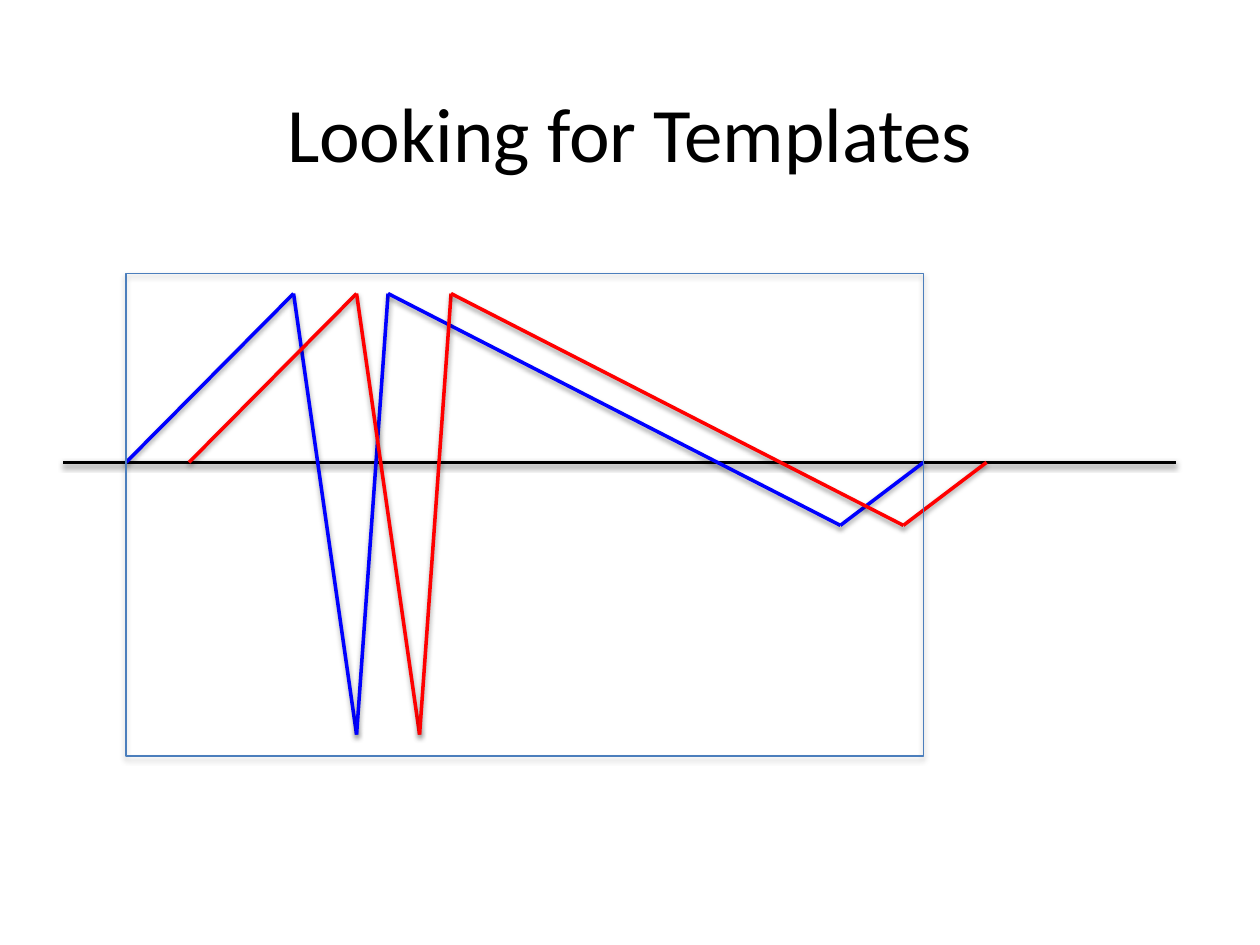
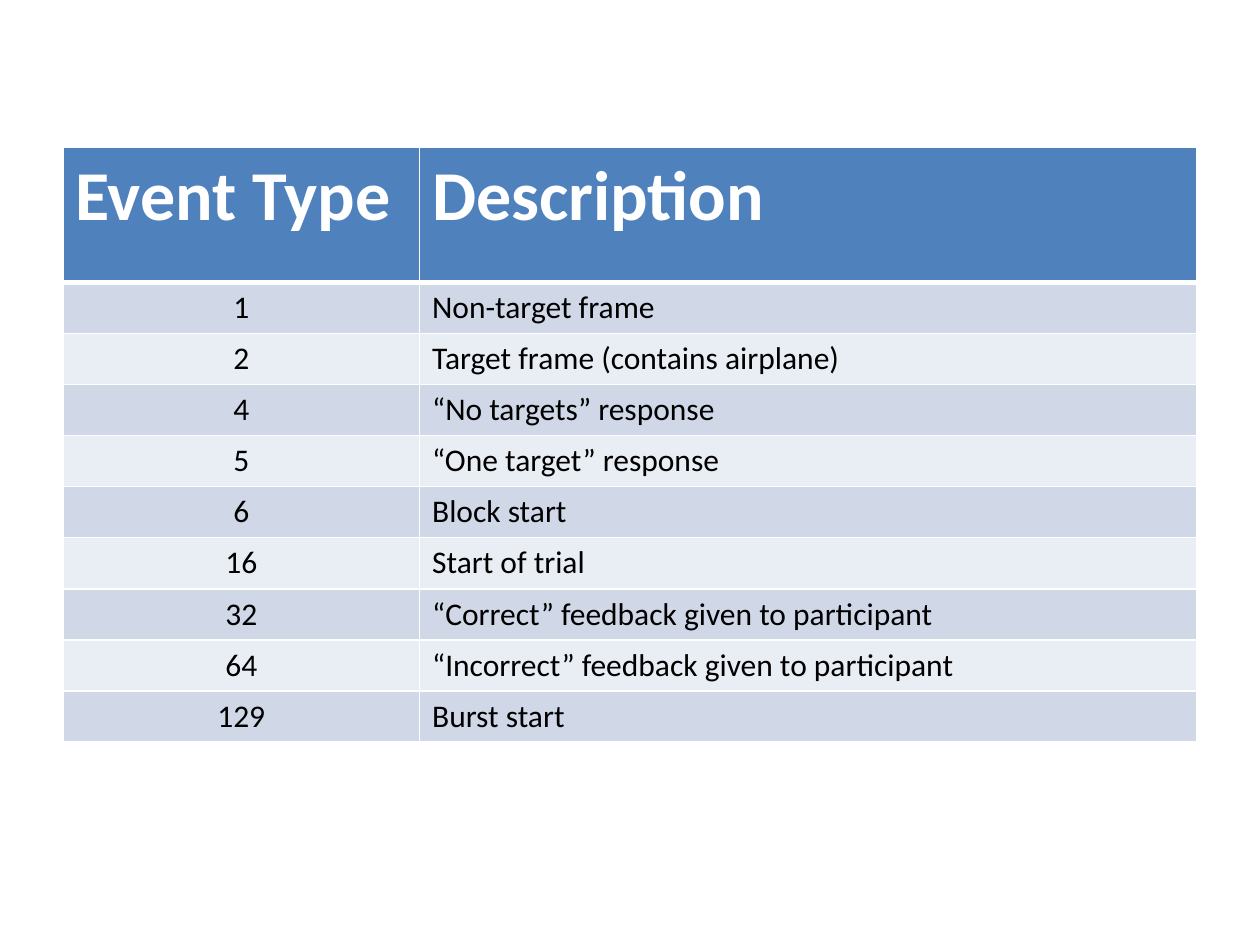
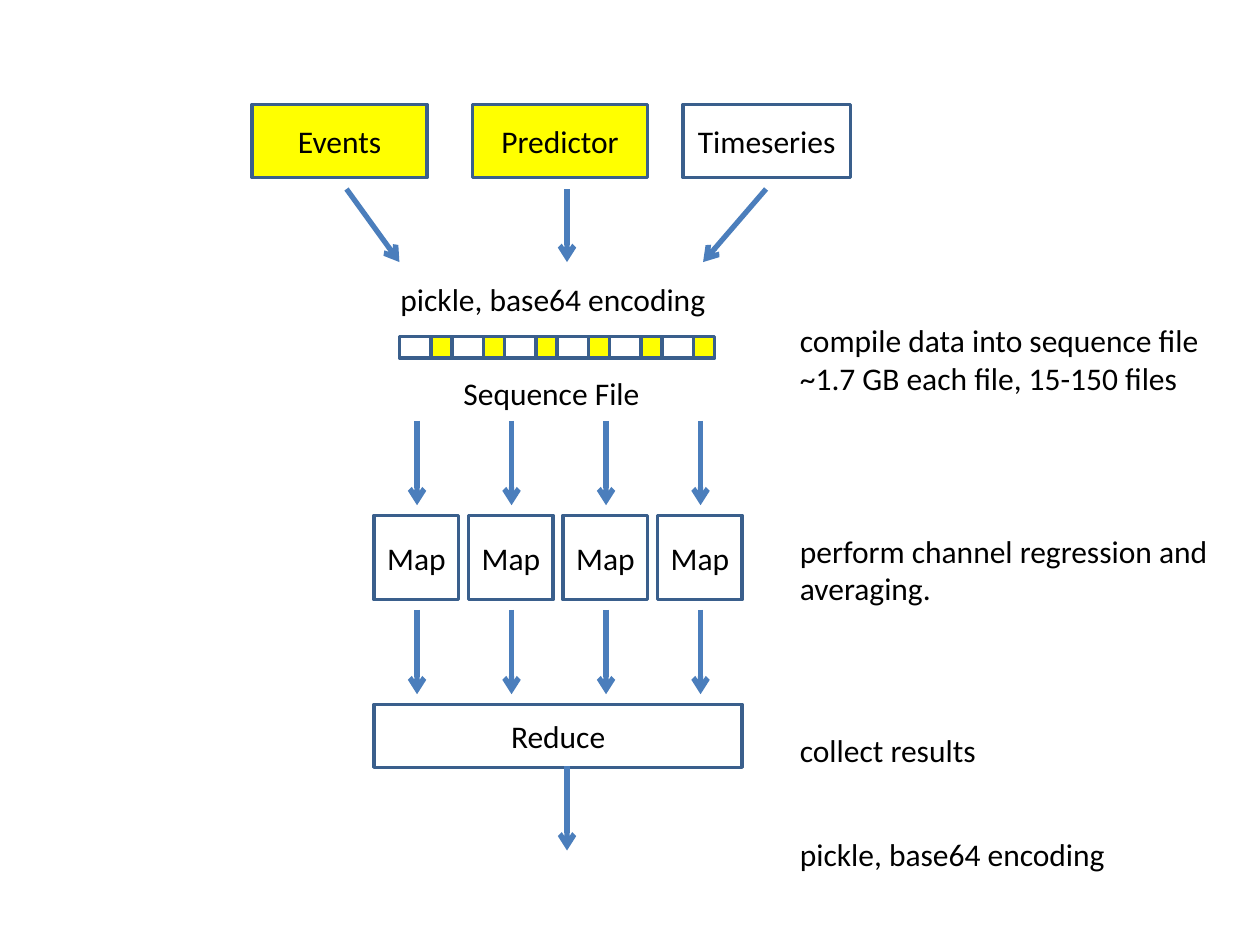
"""Builds three slides on template matching, event types and a map-reduce pipeline."""
from itertools import pairwise

from pptx import Presentation
from pptx import util as u
from pptx.dml.color import RGBColor
from pptx.enum import shapes, text
from pptx.oxml.xmlchemy import OxmlElement

FONT = "Calibri"
BLACK = RGBColor(0x00, 0x00, 0x00)
WHITE = RGBColor(0xFF, 0xFF, 0xFF)
BLUE = RGBColor(0x00, 0x00, 0xFF)
RED = RGBColor(0xFF, 0x00, 0x00)
YELLOW = RGBColor(0xFF, 0xFF, 0x00)
ACCENT = RGBColor(0x4F, 0x81, 0xBD)
ACCENT_LINE = RGBColor(0x4B, 0x7E, 0xBC)
BOX_LINE = RGBColor(0x3A, 0x5F, 0x8C)
BANDS = (RGBColor(0xD0, 0xD8, 0xE8), RGBColor(0xE9, 0xED, 0xF4))

WAVE = [(1, 3.67), (2.33, 2.33), (2.83, 5.83), (3.08, 2.33), (6.67, 4.17), (7.33, 3.67)]
EVENTS = [
    ("Event Type", "Description"),
    ("1", "Non-target frame"),
    ("2", "Target frame (contains airplane)"),
    ("4", "“No targets” response"),
    ("5", "“One target” response"),
    ("6", "Block start"),
    ("16", "Start of trial"),
    ("32", "“Correct” feedback given to participant"),
    ("64", "“Incorrect” feedback given to participant"),
    ("129", "Burst start"),
]
ENCODING = "pickle, base64 encoding"
STEPS = [
    (4.17, 3.58, 0.71, "perform channel regression and\naveraging."),
    (2.5, 3.41, 0.71, "compile data into sequence file\n~1.7 GB each file, 15-150 files"),
    (5.75, 1.73, 0.4, "collect results"),
    (6.58, 2.65, 0.4, ENCODING),
]


def xml(parent, tag, **attributes):
    """Append an element with the given attributes and return it."""
    child = OxmlElement(tag)
    for name, value in attributes.items():
        child.set(name, str(value))
    parent.append(child)
    return child


class Deck:
    """Holds the shared style and the current slide."""

    def __init__(self):
        self.prs = Presentation()
        self.prs.slide_width, self.prs.slide_height = u.Inches(10), u.Inches(7.5)
        self.slide = None

    def new_slide(self):
        """Start a blank slide."""
        self.slide = self.prs.slides.add_slide(self.prs.slide_layouts[6])

    def put_words(self, frame, words, size=18, color=BLACK, align=text.PP_ALIGN.LEFT, bold=False):
        """Put styled words into a text frame."""
        frame.text = words
        for paragraph in frame.paragraphs:
            paragraph.alignment = align
            font = paragraph.font
            font.name, font.size, font.bold = FONT, u.Pt(size), bold
            font.color.rgb = color

    def effects(self, shape, shadow_alpha=None, distance=1.6):
        """Replace the theme shadow by a soft one below, or by none."""
        effects = xml(shape._element.spPr, "a:effectLst")
        if shadow_alpha:
            shadow = xml(effects, "a:outerShdw", blurRad=u.Pt(3.1), dist=u.Pt(distance),
                         dir=90 * 60000, rotWithShape=0)
            tint = xml(shadow, "a:srgbClr", val=BLACK)
            xml(tint, "a:alpha", val=shadow_alpha * 1000)

    def label(self, left, top, width, height, words, wrap=False):
        """Add a text box that grows with its text."""
        frame = self.slide.shapes.add_textbox(*map(u.Inches, (left, top, width, height))).text_frame
        frame.word_wrap = wrap
        frame.auto_size = text.MSO_AUTO_SIZE.SHAPE_TO_FIT_TEXT
        self.put_words(frame, words)

    def title(self, words):
        """Add the centred slide title."""
        frame = self.slide.shapes.add_textbox(*map(u.Inches, (0.5, 0.42, 9, 1.25))).text_frame
        frame.word_wrap = True
        frame.vertical_anchor = text.MSO_ANCHOR.MIDDLE
        self.put_words(frame, words, 44, align=text.PP_ALIGN.CENTER)

    def box(self, left, top, width, height, words="", fill=WHITE):
        """Add an outlined box with centred words."""
        box = self.outline(left, top, width, height, BOX_LINE, 2)
        box.fill.solid()
        box.fill.fore_color.rgb = fill
        self.effects(box)
        if words:
            box.text_frame.vertical_anchor = text.MSO_ANCHOR.MIDDLE
            self.put_words(box.text_frame, words, align=text.PP_ALIGN.CENTER)

    def outline(self, left, top, width, height, color, weight):
        """Add a rectangle without a fill and return it."""
        frame = self.slide.shapes.add_shape(
            shapes.MSO_SHAPE.RECTANGLE, *map(u.Inches, (left, top, width, height)))
        frame.fill.background()
        frame.line.color.rgb = color
        frame.line.width = u.Pt(weight)
        return frame

    def line(self, start, end, color, weight=2, shadow_alpha=38):
        """Add a straight line and return it."""
        line = self.slide.shapes.add_connector(
            shapes.MSO_CONNECTOR.STRAIGHT, *map(u.Inches, (*start, *end)))
        line.line.color.rgb = color
        line.line.width = u.Pt(weight)
        self.effects(line, shadow_alpha)
        return line

    def arrow(self, start, end):
        """Add a line with an open arrowhead at its end."""
        arrow = self.line(start, end, ACCENT_LINE, 3, None)
        xml(arrow.line._get_or_add_ln(), "a:tailEnd", type="arrow")

    def cell(self, cell, words, fill, top_weight=1, bottom_weight=1, **style):
        """Fill and border one table cell and set its words."""
        weights = {"L": 1, "R": 1, "T": top_weight, "B": bottom_weight}
        for side, weight in weights.items():
            border = xml(cell._tc.get_or_add_tcPr(), f"a:ln{side}", w=u.Pt(weight))
            xml(xml(border, "a:solidFill"), "a:srgbClr", val=WHITE)
        cell.fill.solid()
        cell.fill.fore_color.rgb = fill
        self.put_words(cell.text_frame, words, **style)

    def table(self, left, top, column_widths, header_height, row_height, rows):
        """Add a banded table whose first row is the header."""
        height = header_height + row_height * (len(rows) - 1)
        table = self.slide.shapes.add_table(
            len(rows), len(column_widths),
            *map(u.Inches, (left, top, sum(column_widths), height))).table
        for column, width in zip(table.columns, column_widths):
            column.width = u.Inches(width)
        for r, row in enumerate(rows):
            table.rows[r].height = u.Inches(row_height if r else header_height)
            for c, words in enumerate(row):
                if r == 0:
                    self.cell(table.cell(r, c), words, ACCENT, bottom_weight=3,
                              size=40, color=WHITE, bold=True)
                else:
                    align = text.PP_ALIGN.LEFT if c else text.PP_ALIGN.CENTER
                    self.cell(table.cell(r, c), words, BANDS[(r - 1) % 2],
                              top_weight=3 if r == 1 else 1, align=align)


def templates_slide(deck):
    """Show a waveform and its shifted twin against a window."""
    deck.new_slide()
    deck.title("Looking for Templates")
    deck.line((0.5, 3.67), (9.33, 3.67), BLACK)
    for shift, color in ((0, BLUE), (0.5, RED)):
        for start, end in pairwise((x + shift, y) for x, y in WAVE):
            deck.line(start, end, color)
    window = deck.outline(1, 2.17, 6.33, 3.83, ACCENT_LINE, 0.75)
    deck.effects(window, 35, 1.8)


def events_slide(deck):
    """List the event types."""
    deck.new_slide()
    deck.table(0.5, 1.17, (2.83, 6.17), 1.07, 3.65 / 9, EVENTS)


def pipeline_slide(deck):
    """Draw the pipeline from inputs to reduced results."""
    deck.new_slide()
    for top, width, height, step in STEPS:
        deck.label(6.25, top, width, height, step)

    for left, width, source, fill in ((2, 1.39, "Events", YELLOW),
                                      (3.75, 1.39, "Predictor", YELLOW),
                                      (5.42, 1.33, "Timeseries", WHITE)):
        deck.box(left, 0.83, width, 0.58, source, fill)
    for start, end in ((2.75, 3.17), (4.5, 4.5), (6.08, 5.58)):
        deck.arrow((start, 1.5), (end, 2.08))

    deck.label(3.08, 2.17, 2.65, 0.4, ENCODING)
    for record in range(6):
        left = 3.17 + record * 2.5 / 6
        deck.box(left, 2.67, 0.25, 0.17)
        deck.box(left + 0.25, 2.67, 0.17, 0.17, fill=YELLOW)
    deck.label(3.58, 2.92, 1.67, 0.4, "Sequence File", wrap=True)

    for mapper in range(4):
        left = 2.97 + mapper * 0.75
        center = left + 0.34
        deck.box(left, 4.09, 0.67, 0.67, "Map")
        for top in (3.34, 4.84):
            deck.arrow((center, top), (center, top + 0.67))
    deck.box(2.97, 5.59, 2.92, 0.5, "Reduce")
    deck.arrow((4.5, 6.08), (4.5, 6.75))


def main():
    """Build and save the slides."""
    deck = Deck()
    templates_slide(deck)
    events_slide(deck)
    pipeline_slide(deck)
    deck.prs.save("out.pptx")


if __name__ == "__main__":
    main()
